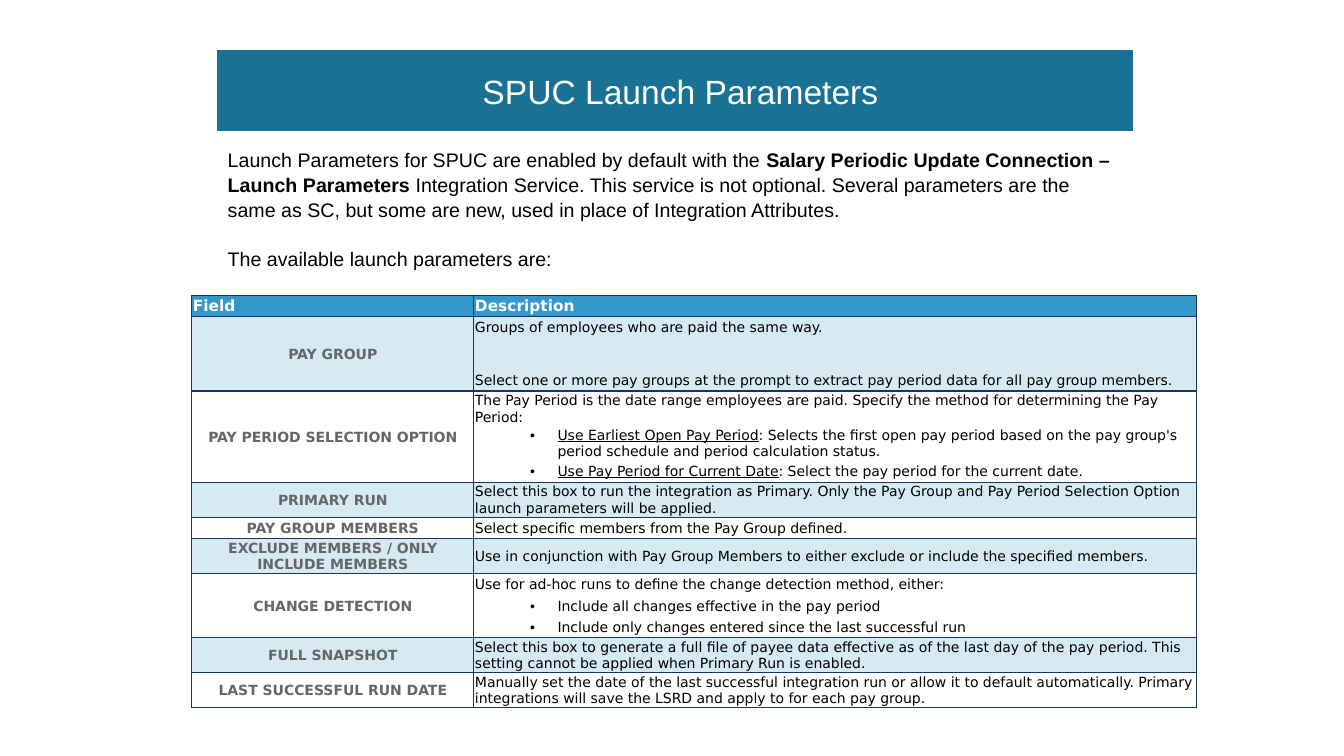
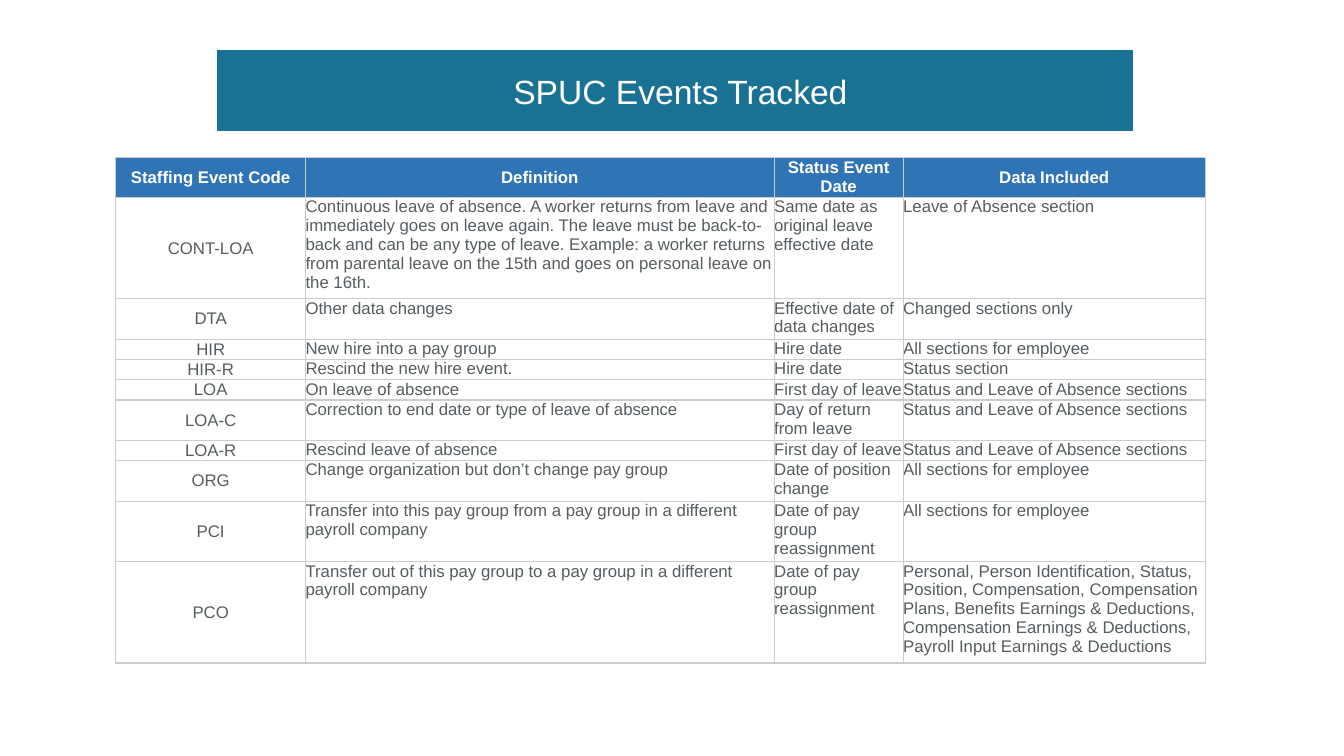
from pptx import Presentation
from pptx.dml.color import RGBColor as Rgb
from pptx.enum.text import MSO_ANCHOR as Anchor, MSO_AUTO_SIZE as Fit, PP_ALIGN as Align
from pptx.oxml.ns import qn
from pptx.util import Cm, Pt
from lxml.etree import SubElement as Sub

WHITE = Rgb(0xFF, 0xFF, 0xFF)
BLACK = Rgb(0, 0, 0)
TEAL = Rgb(0x19, 0x72, 0x93)
NAVY = Rgb(0x17, 0x36, 0x5D)
SKY = Rgb(0x33, 0x97, 0xCC)
PALE = Rgb(0xD6, 0xEA, 0xF4)
GREY = Rgb(0x66, 0x66, 0x66)
BLUE = Rgb(0x2F, 0x75, 0xB5)
SLATE = Rgb(0x56, 0x5D, 0x61)
SILVER = Rgb(0xCC, 0xCC, 0xCC)

INTRO = [
    "Launch Parameters for SPUC are enabled by default with the "
    "*Salary Periodic Update Connection – Launch Parameters *"
    "Integration Service. This service is not optional. Several parameters are "
    "the same as SC, but some are new, used in place of Integration Attributes.",
    "The available launch parameters are:",
]

FIELDS = [
    ("PAY GROUP", [
        (1, "Groups of employees who are paid the same way."),
        (1, ""),
        (1, "Select one or more pay groups at the prompt to extract pay period "
            "data for all pay group members.")]),
    ("PAY PERIOD SELECTION OPTION", [
        (2, "The Pay Period is the date range employees are paid. Specify the "
            "method for determining the Pay Period:"),
        (2, "•*Use Earliest Open Pay Period*: Selects the first open pay period "
            "based on the pay group's period schedule and period calculation status."),
        (1, "•*Use Pay Period for Current Date*: Select the pay period for the "
            "current date.")]),
    ("PRIMARY RUN", [
        (2, "Select this box to run the integration as Primary. Only the Pay Group "
            "and Pay Period Selection Option launch parameters will be applied.")]),
    ("PAY GROUP MEMBERS", [
        (1, "Select specific members from the Pay Group defined.")]),
    ("EXCLUDE MEMBERS / ONLY INCLUDE MEMBERS", [
        (2, "Use in conjunction with Pay Group Members to either exclude or include "
            "the specified members.")]),
    ("CHANGE DETECTION", [
        (1, "Use for ad-hoc runs to define the change detection method, either:"),
        (1, "•Include all changes effective in the pay period"),
        (1, "•Include only changes entered since the last successful run")]),
    ("FULL SNAPSHOT", [
        (2, "Select this box to generate a full file of payee data effective as of "
            "the last day of the pay period. This setting cannot be applied when "
            "Primary Run is enabled.")]),
    ("LAST SUCCESSFUL RUN DATE", [
        (2, "Manually set the date of the last successful integration run or allow "
            "it to default automatically. Primary integrations will save the LSRD "
            "and apply to for each pay group.")]),
]

EVENTS = [
    (2, "Staffing Event Code", "Definition", "Status Event Date", "Data Included"),
    (5, "CONT-LOA",
     "Continuous leave of absence. A worker returns from leave and immediately goes "
     "on leave again. The leave must be back-to-back and can be any type of leave. "
     "Example: a worker returns from parental leave on the 15th and goes on personal "
     "leave on the 16th.",
     "Same date as original leave effective date", "Leave of Absence section"),
    (2, "DTA", "Other data changes", "Effective date of data changes",
     "Changed sections only"),
    (1, "HIR", "New hire into a pay group", "Hire date", "All sections for employee"),
    (1, "HIR-R", "Rescind the new hire event.", "Hire date", "Status section"),
    (1, "LOA", "On leave of absence", "First day of leave",
     "Status and Leave of Absence sections"),
    (2, "LOA-C", "Correction to end date or type of leave of absence",
     "Day of return from leave", "Status and Leave of Absence sections"),
    (1, "LOA-R", "Rescind leave of absence", "First day of leave",
     "Status and Leave of Absence sections"),
    (2, "ORG", "Change organization but don’t change pay group",
     "Date of position change", "All sections for employee"),
    (3, "PCI",
     "Transfer into this pay group from a pay group in a different payroll company",
     "Date of pay group reassignment", "All sections for employee"),
    (5, "PCO",
     "Transfer out of this pay group to a pay group in a different payroll company",
     "Date of pay group reassignment",
     "Personal, Person Identification, Status, Position, Compensation, Compensation "
     "Plans, Benefits Earnings & Deductions, Compensation Earnings & Deductions, "
     "Payroll Input Earnings & Deductions"),
]


def write(para, text, size=12, color=BLACK, face="Arial", bold=False,
          mark="bold", align=Align.LEFT):
    para.alignment = align
    if text.startswith("•"):
        text = text[1:]
        props = para._p.get_or_add_pPr()
        props.set("marL", str(Cm(2.08)))
        props.set("indent", str(-Cm(0.69)))
        Sub(props, qn("a:buFont"), typeface="Arial")
        Sub(props, qn("a:buChar"), char="•")
    for i, part in enumerate(text.split("*")):
        if part or not text:
            run = para.add_run()
            run.text = part
            font = run.font
            font.size, font.name, font.bold = Pt(size), face, bold
            font.color.rgb = color
            if i % 2:
                setattr(font, mark, True)


def edge(cell, color, sides="LRTB"):
    props = cell._tc.get_or_add_tcPr()
    for side in "LRTB":
        line = Sub(props, qn("a:ln" + side), w=str(Pt(1)))
        if side in sides:
            fill = Sub(line, qn("a:solidFill"))
            Sub(fill, qn("a:srgbClr"), val=str(color))
        else:
            Sub(line, qn("a:noFill"))


def fill_cell(cell, text, fill, line, pad=0, sides="LRTB", anchor=Anchor.MIDDLE,
              **style):
    edge(cell, line, sides)
    cell.fill.solid()
    cell.fill.fore_color.rgb = fill
    cell.margin_left = cell.margin_right = cell.margin_top = Cm(pad)
    cell.margin_bottom = 0
    cell.vertical_anchor = anchor
    write(cell.text_frame.paragraphs[0], text, **style)


def add_grid(slide, left, top, cols, rows):
    frame = slide.shapes.add_table(len(rows), len(cols), Cm(left), Cm(top),
                                   Cm(sum(cols)), Cm(sum(rows)))
    grid = frame.table
    for col, width in zip(grid.columns, cols):
        col.width = Cm(width)
    for row, height in zip(grid.rows, rows):
        row.height = Cm(height)
    return grid


def add_slide(name):
    slide = deck.slides.add_slide(deck.slide_layouts[5])
    title = slide.shapes.title
    title.left, title.top, title.width, title.height = BAND
    title.fill.solid()
    title.fill.fore_color.rgb = TEAL
    title.line.color.rgb = TEAL
    title.line.width = Pt(0.75)
    frame = title.text_frame
    frame.auto_size = Fit.NONE
    frame.vertical_anchor = Anchor.MIDDLE
    frame.margin_right = 0
    write(frame.paragraphs[0], name, size=24, color=WHITE, align=Align.CENTER)
    return slide


def add_launch():
    slide = add_slide("SPUC Launch Parameters")
    box = slide.shapes.add_textbox(BAND[0], Cm(3.58), BAND[2], Cm(3.84))
    frame = box.text_frame
    frame.word_wrap = True
    for i, text in enumerate(INTRO):
        para = frame.add_paragraph() if i else frame.paragraphs[0]
        para.line_spacing = 1.06
        para.space_before = Pt(17 * i)
        write(para, text, size=14)

    high = {1: 0.54, 2: 0.88}
    rows = [high[1]] + [high[n] for _, parts in FIELDS for n, _ in parts]
    grid = add_grid(slide, 4.83, 7.44, (7.11, 18.21), rows)
    base = dict(line=NAVY, pad=0.03, face="DejaVu Sans")
    for i, text in enumerate(("Field", "Description")):
        fill_cell(grid.cell(0, i), text, SKY, size=11, color=WHITE, bold=True, **base)
    row = 1
    for i, (name, parts) in enumerate(FIELDS):
        fill = WHITE if i % 2 else PALE
        last = len(parts) - 1
        for j, (_, text) in enumerate(parts):
            sides = "LR" + "T" * (j == 0) + "B" * (j == last)
            fill_cell(grid.cell(row + j, 1), text, fill, sides=sides, size=10,
                      mark="underline", **base)
            if j:
                edge(grid.cell(row + j, 0), NAVY, sides)
        fill_cell(grid.cell(row, 0), name, fill, size=10, color=GREY, bold=True,
                  align=Align.CENTER, **base)
        if last:
            grid.cell(row, 0).merge(grid.cell(row + last, 0))
        row += len(parts)


def add_events():
    slide = add_slide("SPUC Events Tracked")
    rows = [0.51 * event[0] for event in EVENTS]
    grid = add_grid(slide, 2.92, 3.96, (4.78, 11.81, 3.25, 7.62), rows)
    for i, (_, *texts) in enumerate(EVENTS):
        for j, text in enumerate(texts):
            head = i == 0
            mid = head or j == 0
            fill_cell(grid.cell(i, j), text, BLUE if head else WHITE, SILVER,
                      anchor=Anchor.MIDDLE if mid else Anchor.TOP,
                      align=Align.CENTER if mid else Align.LEFT,
                      color=WHITE if head else SLATE, bold=head)


BAND = Cm(5.49), Cm(1.27), Cm(23.06), Cm(2.03)
deck = Presentation()
deck.slide_width, deck.slide_height = Cm(33.87), Cm(19.05)
add_launch()
add_events()
deck.save("out.pptx")
